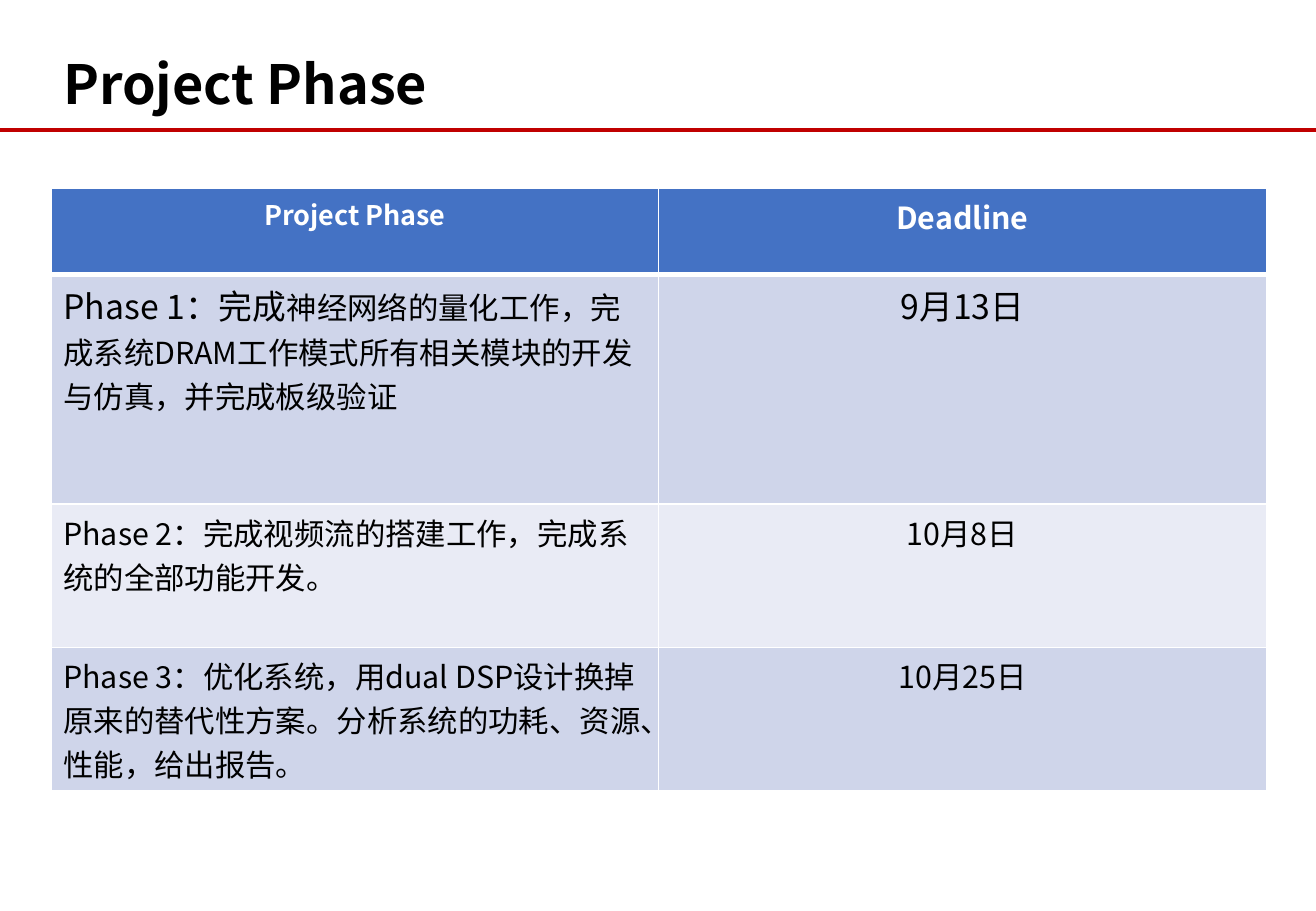
import pptx
import pptx.dml.color
import pptx.enum.shapes
import pptx.enum.text
import pptx.oxml
import pptx.oxml.ns
import pptx.util

Cm = pptx.util.Cm
Pt = pptx.util.Pt
Align = pptx.enum.text.PP_ALIGN


class Theme:
    face = "Noto Sans CJK SC"
    black, white, red = "000000", "FFFFFF", "C00000"
    head = "4472C4"
    bands = ("CFD5EA", "E9EBF5")
    title, large, body, small = 32, 20, 18, 16
    rule, thin, thick = 2.75, 1, 3


def rgb(code):
    return pptx.dml.color.RGBColor.from_string(code)


class Deck:
    def __init__(self, theme, width, height):
        self.theme = theme
        self.width = width
        self.file = pptx.Presentation()
        self.file.slide_width, self.file.slide_height = Cm(width), Cm(height)
        self.slide = self.file.slides.add_slide(self.file.slide_layouts[6])

    def style(self, font, size, color, bold=False):
        font.size, font.bold = Pt(size), bold
        font.color.rgb = rgb(color)
        font.name = self.theme.face
        # East Asian glyphs need their own typeface entry
        east = pptx.oxml.parse_xml(
            f'<a:ea {pptx.oxml.ns.nsdecls("a")} typeface="{self.theme.face}"/>')
        font._rPr.find(pptx.oxml.ns.qn("a:latin")).addnext(east)

    def label(self, para, parts, color, bold=False, align=Align.LEFT):
        """Fill a paragraph from (text, size) parts."""
        para.alignment = align
        for text, size in parts:
            run = para.add_run()
            run.text = text
            if len(parts) > 1:
                self.style(run.font, size, color, bold)
        self.style(para.font, parts[-1][1], color, bold)

    def title(self, text, left, top, width, height):
        box = self.slide.shapes.add_textbox(Cm(left), Cm(top), Cm(width), Cm(height))
        frame = box.text_frame
        frame.word_wrap = True
        frame.vertical_anchor = pptx.enum.text.MSO_ANCHOR.MIDDLE
        self.label(frame.paragraphs[0], [(text, self.theme.title)],
                   self.theme.black, bold=True)

    def rule(self, top):
        line = self.slide.shapes.add_connector(
            pptx.enum.shapes.MSO_CONNECTOR.STRAIGHT,
            Cm(0), Cm(top), Cm(self.width), Cm(top))
        line.line.color.rgb = rgb(self.theme.red)
        line.line.width = Pt(self.theme.rule)
        line._element.spPr.append(pptx.oxml.parse_xml(
            f'<a:effectLst {pptx.oxml.ns.nsdecls("a")}/>'))

    def edge(self, cell, row):
        """Draw white cell borders, thick beneath the header."""
        thin, thick = self.theme.thin, self.theme.thick
        sides = {"L": thin, "R": thin,
                 "T": thick if row == 1 else thin,
                 "B": thick if row == 0 else thin}
        props = cell._tc.get_or_add_tcPr()
        for side, size in sides.items():
            props.append(pptx.oxml.parse_xml(
                f'<a:ln{side} {pptx.oxml.ns.nsdecls("a")} w="{Pt(size)}">'
                f'<a:solidFill><a:srgbClr val="{self.theme.white}"/></a:solidFill>'
                f'</a:ln{side}>'))

    def table(self, rows, highs, left, top, width):
        count = len(rows[0])
        grid = self.slide.shapes.add_table(
            len(rows), count, Cm(left), Cm(top), Cm(width), Cm(sum(highs))).table
        for col in grid.columns:
            col.width = Cm(width / count)
        for i, (row, high) in enumerate(zip(rows, highs)):
            grid.rows[i].height = Cm(high)
            head = i == 0
            fill = self.theme.head if head else self.theme.bands[(i - 1) % 2]
            color = self.theme.white if head else self.theme.black
            for j, parts in enumerate(row):
                cell = grid.cell(i, j)
                self.edge(cell, i)
                cell.fill.solid()
                cell.fill.fore_color.rgb = rgb(fill)
                align = Align.CENTER if head or j else Align.LEFT
                self.label(cell.text_frame.paragraphs[0], parts, color, head, align)


def main():
    theme = Theme()
    deck = Deck(theme, 27.51, 19.05)

    # Heading
    deck.title("Project Phase", 1.07, 0.74, 25.4, 1.98)
    deck.rule(2.72)

    # Phases and deadlines
    large, body, small = theme.large, theme.body, theme.small
    rows = [
        ([("Project Phase", small)], [("Deadline", body)]),
        ([("Phase 1：完成", large),
          ("神经网络的量化工作，完成系统DRAM工作模式所有相关模块的开发与仿真，并完成板级验证", body)],
         [("9月13日", large)]),
        ([("Phase 2：完成视频流的搭建工作，完成系统的全部功能开发。", body)],
         [("10月8日", body)]),
        ([("Phase 3：优化系统，用dual DSP设计换掉原来的替代性方案。"
           "分析系统的功耗、资源、性能，给出报告。", body)],
         [("10月25日", body)]),
    ]
    deck.table(rows, (1.8, 4.8, 3, 3), 1.07, 3.94, 25.4)

    deck.file.save("out.pptx")


if __name__ == "__main__":
    main()
